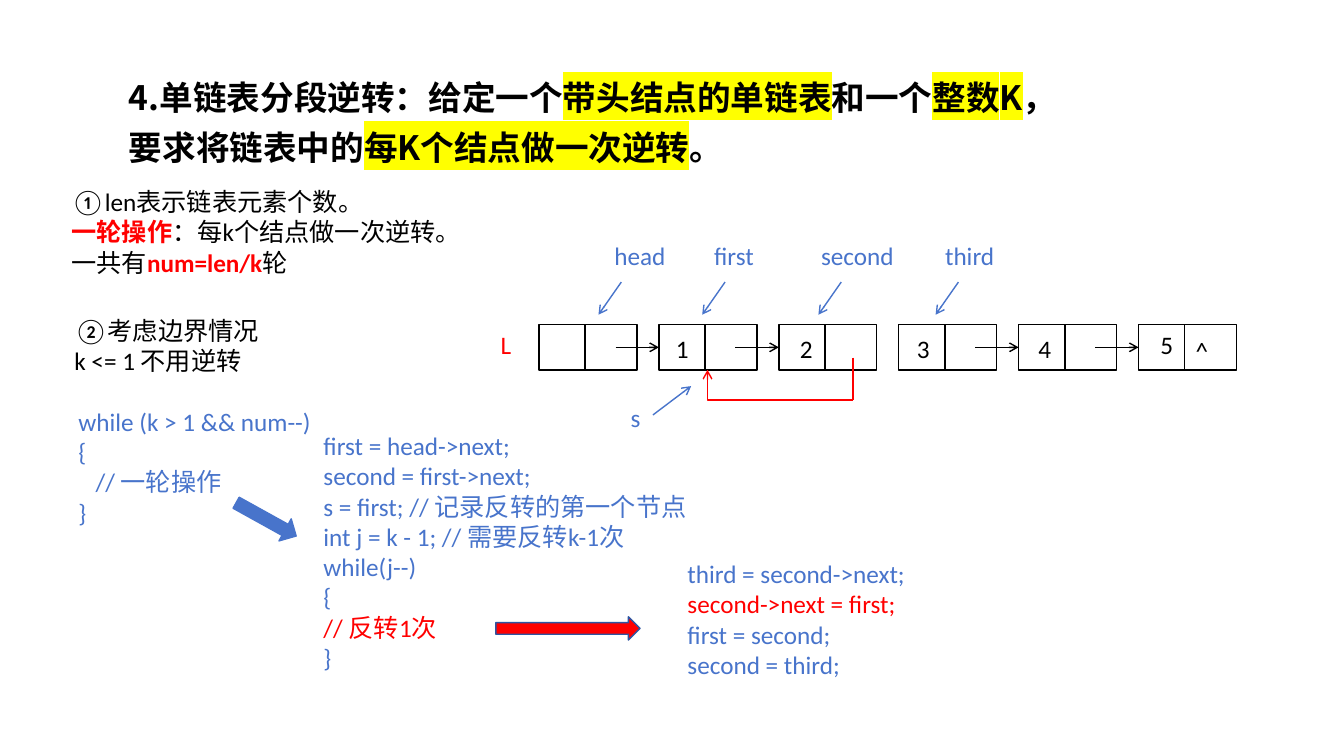
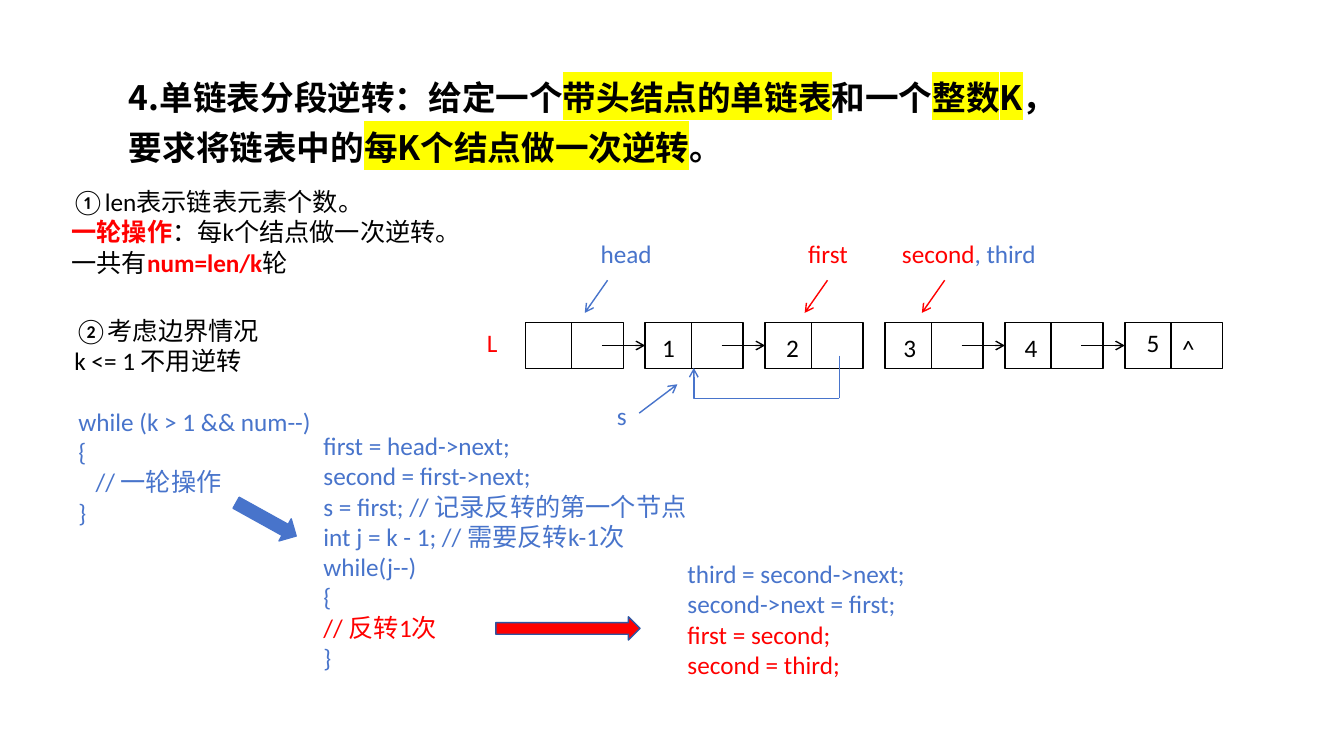
from dataclasses import dataclass

from lxml.etree import SubElement
from pptx import Presentation
from pptx.dml.color import RGBColor
from pptx.enum.shapes import MSO_CONNECTOR, MSO_SHAPE
from pptx.oxml.ns import qn
from pptx.util import Pt

COLORS = {
    "black": "000000",
    "red": "FF0000",
    "blue": "4874CB",
    "navy": "2E54A1",
    "yellow": "FFFF00",
}
BODY_FONT, TITLE_FONT = "Calibri", "Noto Sans CJK SC"
NODE_PITCH, NODE_WIDTH, NODE_HEIGHT = 85.65, 70, 32.6
DIVIDER, NEXT_ARROW = 33, 54.7


@dataclass(frozen=True)
class Span:
    text: str
    color: str = "black"
    bold: bool = False
    marked: bool = False


@dataclass(frozen=True)
class Node:
    value: str
    value_x: float
    value_y: float
    linked: bool


@dataclass(frozen=True)
class Pointer:
    """A label over the list; x values count from the list's left edge."""
    label: tuple[Span, ...]
    label_x: float
    tip_x: float


@dataclass(frozen=True)
class Step:
    """One moment of the reversal, with the code lines it runs in red."""
    left: float
    top: float
    pointers: tuple[Pointer, ...]
    back_link: str
    active_lines: tuple[int, ...]


TITLE = [[
    Span("4.单链表分段逆转：给定一个", bold=True),
    Span("带头结点的单链表", bold=True, marked=True),
    Span("和一个", bold=True),
    Span("整数K", bold=True, marked=True),
    Span("，要求将链表中的", bold=True),
    Span("每K个结点做一次逆转", bold=True, marked=True),
    Span("。", bold=True),
]]
ROUNDS = [
    [Span("①len表示链表元素个数。")],
    [Span("一轮操作", "red", True), Span("：每k个结点做一次逆转。")],
    [Span("一共有"), Span("num=len/k", "red", True), Span("轮")],
]
EDGE_CASE = [[Span("②考虑边界情况")], [Span("k <= 1 不用逆转")]]
OUTER_LOOP = ["while (k > 1 && num--)", "{", "   // 一轮操作", "}"]
ONE_ROUND = [
    "first = head->next;",
    "second = first->next;",
    "s = first; // 记录反转的第一个节点",
    "int j = k - 1; // 需要反转k-1次",
    "while(j--)",
    "{",
    "// 反转1次",
    "}",
]
ONE_REVERSAL = [
    "third = second->next;",
    "second->next = first;",
    "first = second;",
    "second = third;",
]
NODES = [
    Node("", 0, 0, True),
    Node("1", 5, 3, True),
    Node("2", 8, 3, False),
    Node("3", 6, 3, True),
    Node("4", 7, 3, True),
    Node("5", 8.6, 0, False),
]
HEAD = Pointer((Span("head", "blue"),), 46.8, 42.5)
STEPS = [
    Step(385, 231.8, (
        HEAD,
        Pointer((Span("first", "blue"),), 118, 116.6),
        Pointer((Span("second", "blue"),), 194.4, 199.6),
        Pointer((Span("third", "blue"),), 283, 283.3),
    ), "red", (1,)),
    Step(375.2, 230.5, (
        HEAD,
        Pointer((Span("first", "red"),), 195, 199.6),
        Pointer((Span("second", "red"), Span(", third", "blue")), 262, 283.3),
    ), "blue", (2, 3)),
]


def rgb(name: str) -> RGBColor:
    return RGBColor.from_string(COLORS[name])


def code(lines: list[str], active: tuple[int, ...] = ()) -> list[list[Span]]:
    return [[Span(line, "red" if row in active else "blue")]
            for row, line in enumerate(lines)]


def add_text(slide, left: float, top: float, width: float, height: float,
             paragraphs, size: float = 18, font: str = BODY_FONT,
             spacing: float | None = None):
    frame = slide.shapes.add_textbox(Pt(left), Pt(top), Pt(width), Pt(height)).text_frame
    frame.word_wrap = True
    for row, spans in enumerate(paragraphs):
        paragraph = frame.add_paragraph() if row else frame.paragraphs[0]
        paragraph.line_spacing = spacing
        shared = paragraph.font
        shared.size, shared.name = Pt(size), font
        shared.bold = all(span.bold for span in spans)
        shared.color.rgb = rgb(spans[0].color)
        SubElement(paragraph._p.pPr.find(qn("a:defRPr")), qn("a:ea"), typeface=font)
        for span in spans:
            run = paragraph.add_run()
            run.text = span.text
            if span.bold != shared.bold:
                run.font.bold = span.bold
            if span.color != spans[0].color:
                run.font.color.rgb = rgb(span.color)
            if span.marked:
                mark = SubElement(run._r.get_or_add_rPr(), qn("a:highlight"))
                SubElement(mark, qn("a:srgbClr"), val=COLORS["yellow"])
    return frame


def add_line(slide, start: tuple[float, float], end: tuple[float, float],
             color: str, arrow: bool = False, kind=MSO_CONNECTOR.STRAIGHT):
    line = slide.shapes.add_connector(kind, *map(Pt, start + end))
    line.line.color.rgb = rgb(color)
    line.line.width = Pt(1)
    if arrow:
        SubElement(line.line._get_or_add_ln(), qn("a:tailEnd"), type="arrow")
    SubElement(line._element.spPr, qn("a:effectLst"))
    return line


def add_outlined(slide, kind, left: float, top: float, width: float, height: float,
                 line: str, fill: str | None = None):
    shape = slide.shapes.add_shape(kind, Pt(left), Pt(top), Pt(width), Pt(height))
    shape.shadow.inherit = False
    if fill:
        shape.fill.solid()
        shape.fill.fore_color.rgb = rgb(fill)
    else:
        shape.fill.background()
    shape.line.color.rgb = rgb(line)
    shape.line.width = Pt(1)
    return shape


def draw_nodes(slide, left: float, top: float) -> None:
    add_text(slide, left - 34.5, top, 38, 29, [[Span("L", "red")]])
    boxes = []
    for index, node in enumerate(NODES):
        x = left + index * NODE_PITCH
        boxes.append(add_outlined(slide, MSO_SHAPE.RECTANGLE, x, top,
                                  NODE_WIDTH, NODE_HEIGHT, "black"))
        add_line(slide, (x + DIVIDER, top), (x + DIVIDER, top + NODE_HEIGHT), "black")
        if node.value:
            add_text(slide, x + node.value_x, top + node.value_y, 30, 29,
                     [[Span(node.value)]])
    add_text(slide, x + 33.8, top + 4.3, 30, 29, [[Span("^")]])

    middle = top + NODE_HEIGHT / 2
    for index, node in enumerate(NODES):
        if node.linked:
            x = left + index * NODE_PITCH
            link = add_line(slide, (x + NEXT_ARROW, middle), (x + NODE_PITCH, middle),
                            "black", arrow=True)
            link.end_connect(boxes[index + 1], 1)


def draw_pointers(slide, step: Step) -> None:
    left, top = step.left, step.top
    for pointer in step.pointers:
        add_text(slide, left + pointer.label_x, top - 64, 122, 27, [pointer.label])
        tip = left + pointer.tip_x
        add_line(slide, (tip + 16.3, top - 30.3), (tip, top - 7),
                 pointer.label[0].color, arrow=True)
    add_text(slide, left + 58.3, top + 51.8, 37, 27, [[Span("s", "blue")]])
    add_line(slide, (left + 81.4, top + 64.6), (left + 108.7, top + 44),
             "blue", arrow=True)


def draw_back_link(slide, step: Step) -> None:
    corner = (step.left + 224.4, step.top + 54)
    add_line(slide, (corner[0], step.top + 23.6), corner, step.back_link)
    bend = add_line(slide, corner, (step.left + 120.4, step.top + 32.4),
                    step.back_link, arrow=True, kind=MSO_CONNECTOR.ELBOW)
    bend._element.spPr.find(qn("a:prstGeom")).set("prst", "bentConnector2")


def draw_step(slide, step: Step) -> None:
    title = add_text(slide, 85, 47.5, 695.5, 74, TITLE, 24, TITLE_FONT, 1.23)
    title.margin_top = Pt(1)
    add_text(slide, 44, 129.6, 288, 83.5, ROUNDS)
    add_text(slide, 46, 221.8, 226, 56, EDGE_CASE)
    add_text(slide, 49, 286.6, 318, 95, code(OUTER_LOOP))
    add_text(slide, 224, 304, 280, 181.4, code(ONE_ROUND, (6,)))
    add_text(slide, 484, 395.3, 212.4, 101, code(ONE_REVERSAL, step.active_lines))
    to_round = add_outlined(slide, MSO_SHAPE.RIGHT_ARROW, 165.6, 362, 49, 18,
                            "blue", "blue")
    to_round.rotation = 29
    add_outlined(slide, MSO_SHAPE.RIGHT_ARROW, 354.2, 440.6, 103, 16.6, "navy", "red")
    draw_nodes(slide, step.left, step.top)
    draw_pointers(slide, step)
    draw_back_link(slide, step)


def main() -> None:
    deck = Presentation()
    deck.slide_width, deck.slide_height = Pt(960), Pt(540)
    for step in STEPS:
        draw_step(deck.slides.add_slide(deck.slide_layouts[6]), step)
    deck.save("out.pptx")


if __name__ == "__main__":
    main()
